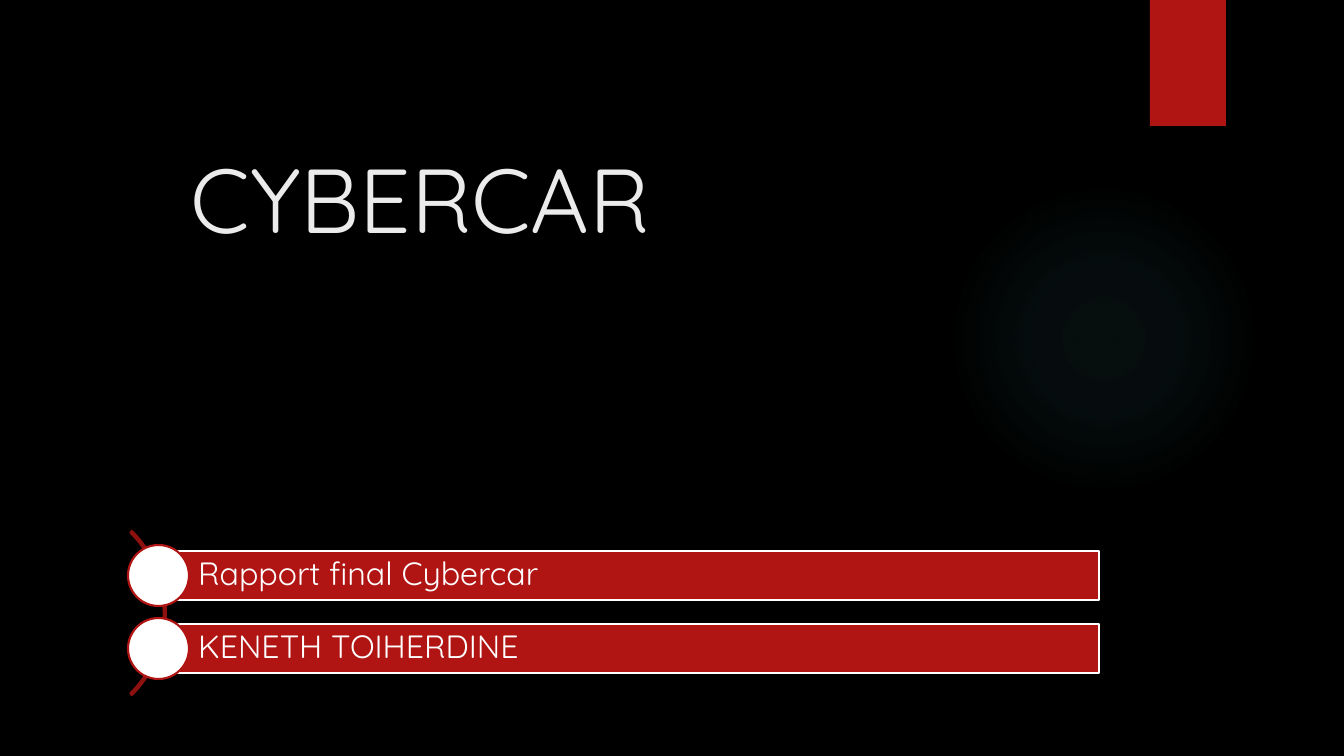
from dataclasses import dataclass

from pptx import Presentation
from pptx.dml.color import RGBColor
from pptx.enum.shapes import MSO_SHAPE as Shape
from pptx.enum.text import MSO_ANCHOR as Anchor, PP_ALIGN as Align
from pptx.oxml import parse_xml
from pptx.oxml.ns import nsdecls
from pptx.util import Pt

PX = 12192000 / 1344


def emu(*lengths):
    return [round(length * PX) for length in lengths]


@dataclass(frozen=True)
class Theme:
    background: str = "000000"
    accent: str = "B01513"
    arc: str = "8D110F"
    glow: str = "50B9C1"
    title: str = "EBEBEB"
    light: str = "FFFFFF"
    font: str = "Quicksand"
    title_size: float = 64.8
    label_size: float = 23
    line_width: float = 1.5


class SlideBuilder:
    """Draws styled elements on one slide, with lengths in px."""

    def __init__(self, slide, theme):
        self.slide = slide
        self.theme = theme
        fill = slide.background.fill
        fill.solid()
        fill.fore_color.rgb = RGBColor.from_string(theme.background)

    def shape(self, kind, box, fill=None, line=None):
        shape = self.slide.shapes.add_shape(kind, *emu(*box))
        shape.shadow.inherit = False
        if fill:
            shape.fill.solid()
            shape.fill.fore_color.rgb = RGBColor.from_string(fill)
        else:
            shape.fill.background()
        if line:
            shape.line.color.rgb = RGBColor.from_string(line)
            shape.line.width = Pt(self.theme.line_width)
        else:
            shape.line.fill.background()
        return shape

    def glow(self, box, stops):
        shape = self.shape(Shape.OVAL, box)
        stops_xml = "".join(
            f'<a:gs pos="{position * 1000}"><a:srgbClr val="{self.theme.glow}">'
            f'<a:alpha val="{alpha * 1000}"/></a:srgbClr></a:gs>'
            for position, alpha in stops
        )
        gradient = parse_xml(
            f'<a:gradFill {nsdecls("a")} rotWithShape="1"><a:gsLst>{stops_xml}</a:gsLst>'
            '<a:path path="circle">'
            '<a:fillToRect l="50000" t="50000" r="50000" b="50000"/></a:path></a:gradFill>'
        )
        properties = shape.element.spPr
        properties.replace(properties.find("{*}noFill"), gradient)

    def arc(self, box, adjustments):
        shape = self.shape(Shape.BLOCK_ARC, box, line=self.theme.arc)
        for index, value in enumerate(adjustments):
            shape.adjustments[index] = value

    def label(self, shape, text, size, color, anchor):
        frame = shape.text_frame
        frame.word_wrap = True
        frame.vertical_anchor = anchor
        paragraph = frame.paragraphs[0]
        paragraph.alignment = Align.LEFT
        run = paragraph.add_run()
        run.text = text
        run.font.name = self.theme.font
        run.font.size = Pt(size)
        run.font.color.rgb = RGBColor.from_string(color)
        return frame

    def title(self, box, text):
        shape = self.slide.shapes.add_textbox(*emu(*box))
        self.label(shape, text, self.theme.title_size, self.theme.title, Anchor.BOTTOM)

    def bar(self, box, text):
        theme = self.theme
        shape = self.shape(Shape.RECTANGLE, box, theme.accent, theme.light)
        frame = self.label(shape, text, theme.label_size, theme.light, Anchor.MIDDLE)
        frame.paragraphs[0].line_spacing = 0.9
        frame.margin_left, frame.margin_right = emu(39, 6)
        frame.margin_top, frame.margin_bottom = emu(6, 6)

    def dot(self, box):
        self.shape(Shape.OVAL, box, self.theme.light, self.theme.accent)


def main():
    presentation = Presentation()
    presentation.slide_width, presentation.slide_height = emu(1344, 756)
    slide = presentation.slides.add_slide(presentation.slide_layouts[6])
    theme = Theme()
    builder = SlideBuilder(slide, theme)

    builder.glow((949, 184, 310, 310), [(0, 7), (36, 6), (69, 0)])
    builder.shape(Shape.RECTANGLE, (1150, 0, 76, 126), theme.accent)
    builder.title((181, 147, 957, 110), "CYBERCAR")
    builder.arc((-66, 497, 232, 232), (189, 27, 0.01))

    first_top, pitch = 551, 73
    for row, text in enumerate(["Rapport final Cybercar", "KENETH TOIHERDINE"]):
        top = first_top + row * pitch
        builder.bar((159, top, 940, 49), text)
        builder.dot((128, top - 6, 61, 61))

    presentation.save("out.pptx")


if __name__ == "__main__":
    main()
